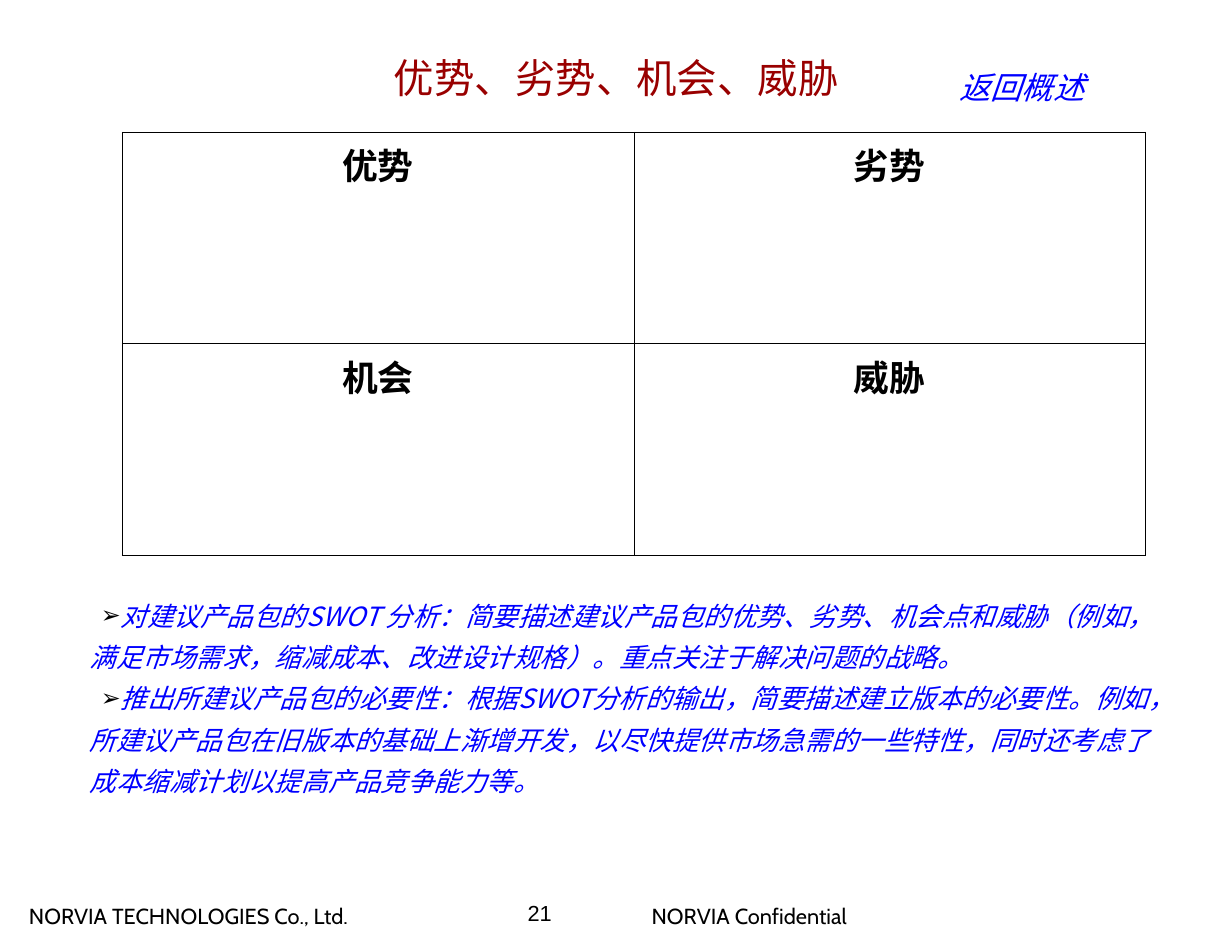
from dataclasses import dataclass

from lxml.etree import SubElement
from pptx import Presentation
from pptx.dml.color import RGBColor
from pptx.enum.text import MSO_ANCHOR, MSO_AUTO_SIZE, PP_ALIGN
from pptx.oxml.ns import qn
from pptx.util import Inches, Pt

BLACK = RGBColor(0x00, 0x00, 0x00)
BLUE = RGBColor(0x00, 0x00, 0xFF)
DARK_RED = RGBColor(0x99, 0x00, 0x00)
CJK_FONT = "Noto Sans CJK SC"

TITLE_FONT = dict(name="Arial", size=Pt(26), bold=False)
LINK_FONT = dict(name="Arial", size=Pt(20), italic=True)
NUMBER_FONT = dict(name="Arial", size=Pt(14))
FOOTER_FONT = dict(name="Cabin", size=Pt(14))
CELL_FONT = dict(name="Arial", size=Pt(23), bold=True)
BODY_FONT = dict(name=CJK_FONT, size=Pt(17), italic=True)

SWOT = [["优势", "劣势"], ["机会", "威胁"]]
GUIDANCE = [
    "对建议产品包的SWOT 分析：简要描述建议产品包的优势、劣势、机会点和威胁（例如，满足市场需求，"
    "缩减成本、改进设计规格）。重点关注于解决问题的战略。",
    "推出所建议产品包的必要性：根据SWOT分析的输出，简要描述建立版本的必要性。例如，"
    "所建议产品包在旧版本的基础上渐增开发，以尽快提供市场急需的一些特性，"
    "同时还考虑了成本缩减计划以提高产品竞争能力等。",
]


@dataclass
class Label:
    text: str
    box: tuple[float, float, float, float]
    font: dict
    color: RGBColor = BLACK
    align: PP_ALIGN = PP_ALIGN.LEFT
    inset: bool = False


LABELS = [
    Label("NORVIA TECHNOLOGIES Co., Ltd.", (0.16, 8.01, 3.38, 0.33), FOOTER_FONT, inset=True),
    Label("NORVIA Confidential", (5.72, 8.01, 2.27, 0.33), FOOTER_FONT, inset=True),
    Label("21", (4.71, 8.03, 0.68, 0.24), NUMBER_FONT),
    Label("返回概述", (8.26, 0.61, 1.73, 0.33), LINK_FONT, BLUE, PP_ALIGN.CENTER),
]


def write(p, text: str, font: dict, color: RGBColor, align: PP_ALIGN) -> None:
    p.alignment = align
    r = p.add_run()
    r.text = text
    for key, value in font.items():
        setattr(r.font, key, value)
    r.font.color.rgb = color
    SubElement(r.font._element, qn("a:ea"), typeface=CJK_FONT)


def place(sp, box: tuple[float, float, float, float]) -> None:
    sp.left, sp.top, sp.width, sp.height = map(Inches, box)


def prepare(tf, inset: bool = False) -> None:
    tf.word_wrap = True
    tf.auto_size = MSO_AUTO_SIZE.NONE
    tf.vertical_anchor = MSO_ANCHOR.TOP
    if not inset:
        tf.margin_left = tf.margin_right = tf.margin_top = tf.margin_bottom = 0


def add_label(slide, label: Label) -> None:
    sp = slide.shapes.add_textbox(*map(Inches, label.box))
    prepare(sp.text_frame, label.inset)
    write(sp.text_frame.paragraphs[0], label.text, label.font, label.color, label.align)


def add_arrow_bullet(p) -> None:
    pPr = p._p.get_or_add_pPr()
    for key in ("marL", "indent"):
        pPr.set(key, str(Inches(0.1)))
    color = SubElement(pPr, qn("a:buClr"))
    SubElement(color, qn("a:srgbClr"), val=str(BLACK))
    SubElement(pPr, qn("a:buSzPct"), val="90000")
    SubElement(pPr, qn("a:buChar"), char="➢")


def add_borders(cell) -> None:
    tcPr = cell._tc.get_or_add_tcPr()
    for side in ("a:lnL", "a:lnR", "a:lnT", "a:lnB"):
        ln = SubElement(tcPr, qn(side), w=str(Pt(0.45)))
        fill = SubElement(ln, qn("a:solidFill"))
        SubElement(fill, qn("a:srgbClr"), val=str(BLACK))


def add_swot_table(slide) -> None:
    box = map(Inches, (1.09, 1.18, 9.14, 3.78))
    table = slide.shapes.add_table(len(SWOT), len(SWOT[0]), *box).table
    table.first_row = table.horz_banding = False
    for i, row in enumerate(SWOT):
        for j, text in enumerate(row):
            cell = table.cell(i, j)
            add_borders(cell)
            cell.fill.background()
            write(cell.text_frame.paragraphs[0], text, CELL_FONT, BLACK, PP_ALIGN.CENTER)


def fill_guidance(body) -> None:
    place(body, (0.7, 5.27, 9.61, 1.97))
    tf = body.text_frame
    prepare(tf)
    for i, text in enumerate(GUIDANCE):
        p = tf.add_paragraph() if i else tf.paragraphs[0]
        add_arrow_bullet(p)
        p.line_spacing = 1.3
        p.space_before = Pt(0)
        write(p, text, BODY_FONT, BLUE, PP_ALIGN.LEFT)


def main() -> None:
    prs = Presentation()
    prs.slide_width, prs.slide_height = Inches(11), Inches(8.5)
    slide = prs.slides.add_slide(prs.slide_layouts[1])

    title = slide.shapes.title
    place(title, (1.96, 0.47, 7.09, 0.44))
    prepare(title.text_frame)
    write(title.text_frame.paragraphs[0], "优势、劣势、机会、威胁", TITLE_FONT, DARK_RED, PP_ALIGN.CENTER)

    fill_guidance(slide.placeholders[1])
    add_swot_table(slide)
    for label in LABELS:
        add_label(slide, label)
    prs.save("out.pptx")


if __name__ == "__main__":
    main()
